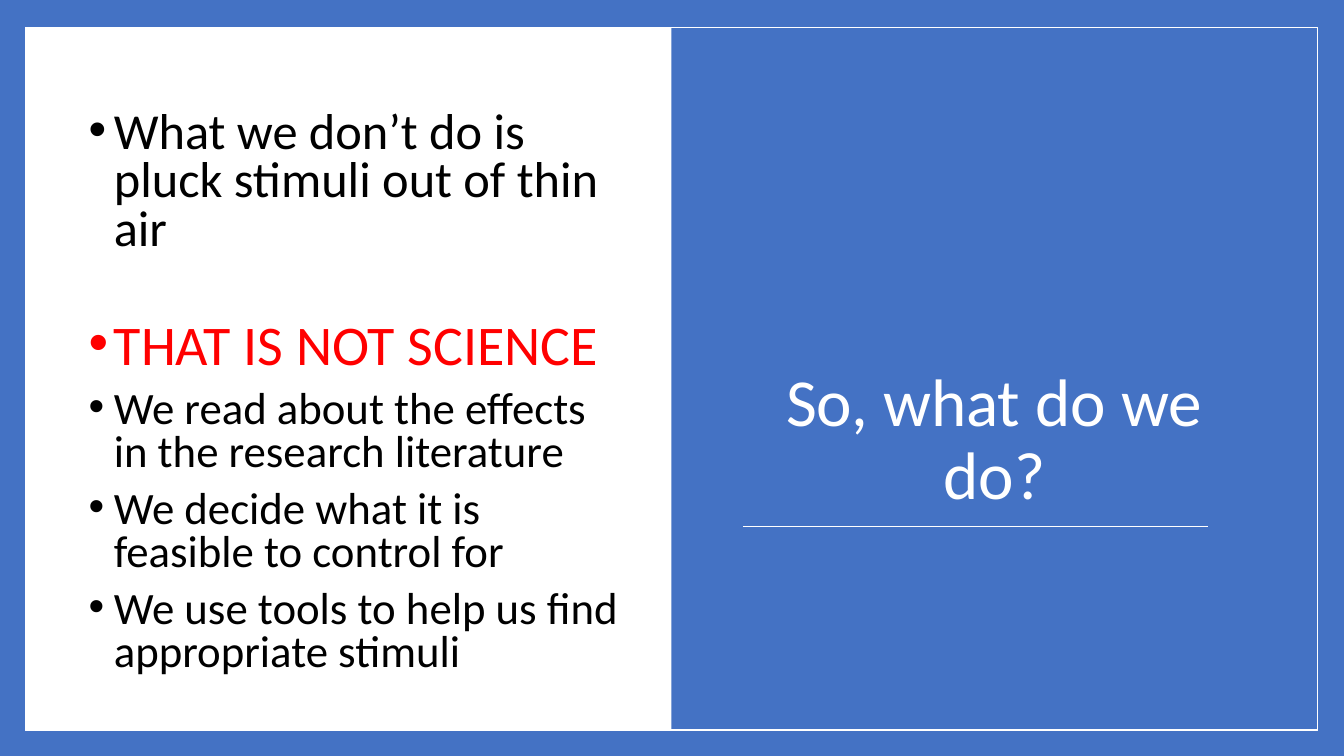
import pptx
import pptx.dml.color
import pptx.enum.shapes
import pptx.enum.text
import pptx.oxml.ns
import pptx.util
from lxml import etree

Pt = pptx.util.Pt
RGB = pptx.dml.color.RGBColor
BLUE = RGB(0x44, 0x72, 0xC4)
WHITE = RGB(0xFF, 0xFF, 0xFF)
BLACK = RGB(0, 0, 0)
RED = RGB(0xFF, 0, 0)

WIDE, HIGH = 960, 540
FRAME = (18, 19.5, 923, 502)
HALF = FRAME[2] / 2
PANEL = (FRAME[0] + HALF, FRAME[1], HALF, FRAME[3])

# text, size, colour, hanging indent, space before
POINTS = [
    ("What we don\u2019t do is pluck stimuli out of thin air", 36, BLACK, 18, 0),
    ("THAT IS NOT SCIENCE", 40, RED, 20, 47.3),
    ("We read about the effects in the research literature", 32, BLACK, 18, 10),
    ("We decide what it is feasible to control for", 32, BLACK, 18, 10),
    ("We use tools to help us find appropriate stimuli", 32, BLACK, 18, 10),
]


def add_sub(node, tag, **attrs):
    """Append a child element in the DrawingML namespace."""
    return etree.SubElement(node, pptx.oxml.ns.qn("a:" + tag), **attrs)


def add_rect(slide, box, fill=None, line=None):
    """Draw a rectangle with an optional fill and outline."""
    kind = pptx.enum.shapes.MSO_SHAPE.RECTANGLE
    rect = slide.shapes.add_shape(kind, *map(Pt, box))
    rect.shadow.inherit = False
    if fill is None:
        rect.fill.background()
    else:
        rect.fill.solid()
        rect.fill.fore_color.rgb = fill
    if line is None:
        rect.line.fill.background()
    else:
        rect.line.color.rgb = line
        rect.line.width = Pt(1)


def add_rule(slide, left, right, top):
    """Draw a thin white horizontal line."""
    kind = pptx.enum.shapes.MSO_CONNECTOR.STRAIGHT
    rule = slide.shapes.add_connector(kind, Pt(left), Pt(top), Pt(right), Pt(top))
    rule.line.color.rgb = WHITE
    rule.line.width = Pt(0.75)
    add_sub(rule._element.spPr, "effectLst")


def add_box(slide, box, anchor):
    """Add a wrapping text box and return its text frame."""
    frame = slide.shapes.add_textbox(*map(Pt, box)).text_frame
    frame.word_wrap = True
    frame.vertical_anchor = anchor
    return frame


def set_text(para, text, size, color, pitch):
    """Fill a paragraph and set its font and line spacing."""
    para.text = text
    para.line_spacing = pitch
    para.font.name = "Calibri"
    para.font.size = Pt(size)
    para.font.color.rgb = color


def add_dot(para, color, hang):
    """Give a paragraph a coloured bullet and a hanging indent."""
    props = para._p.get_or_add_pPr()
    props.set("marL", str(Pt(18)))
    props.set("indent", str(-Pt(hang)))
    tint = add_sub(props, "buClr")
    add_sub(tint, "srgbClr", val=str(color))
    add_sub(props, "buFont", typeface="Arial")
    add_sub(props, "buChar", char="\u2022")
    # The schema wants the run defaults after the bullet.
    props.append(props.find(pptx.oxml.ns.qn("a:defRPr")))


def add_title(slide):
    """Add the centred title above the rule."""
    anchor = pptx.enum.text.MSO_ANCHOR.BOTTOM
    para = add_box(slide, (530.6, 67.7, 359.3, 303), anchor).paragraphs[0]
    set_text(para, "So, what do we do?", 48, WHITE, 0.9)
    para.alignment = pptx.enum.text.PP_ALIGN.CENTER


def add_list(slide):
    """Add the bulleted points on the white half."""
    anchor = pptx.enum.text.MSO_ANCHOR.TOP
    frame = add_box(slide, (56.2, 75.6, 395.3, 411.8), anchor)
    for i, (text, size, color, hang, gap) in enumerate(POINTS):
        para = frame.add_paragraph() if i else frame.paragraphs[0]
        set_text(para, text, size, color, 0.8)
        para.space_before = Pt(gap)
        add_dot(para, color, hang)


def main():
    """Build the slide and save it."""
    deck = pptx.Presentation()
    deck.slide_width, deck.slide_height = Pt(WIDE), Pt(HIGH)
    slide = deck.slides.add_slide(deck.slide_layouts[6])
    add_rect(slide, (0, 0, WIDE, HIGH), BLUE)
    add_rect(slide, FRAME, WHITE, WHITE)
    add_rect(slide, PANEL, BLUE)
    add_rule(slide, 530.6, 862.6, 375.8)
    add_rect(slide, FRAME, line=WHITE)
    add_title(slide)
    add_list(slide)
    deck.save("out.pptx")


main()
